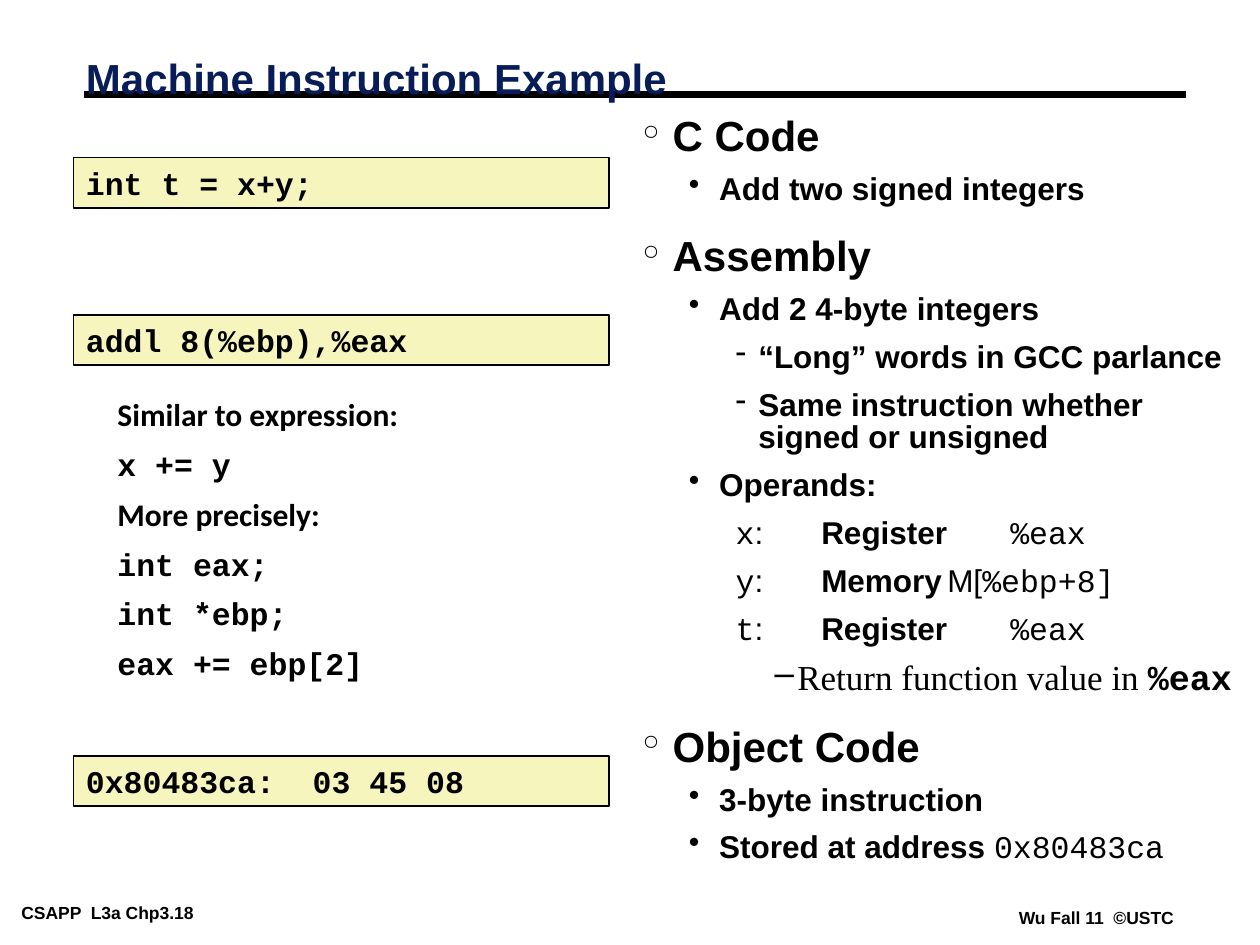
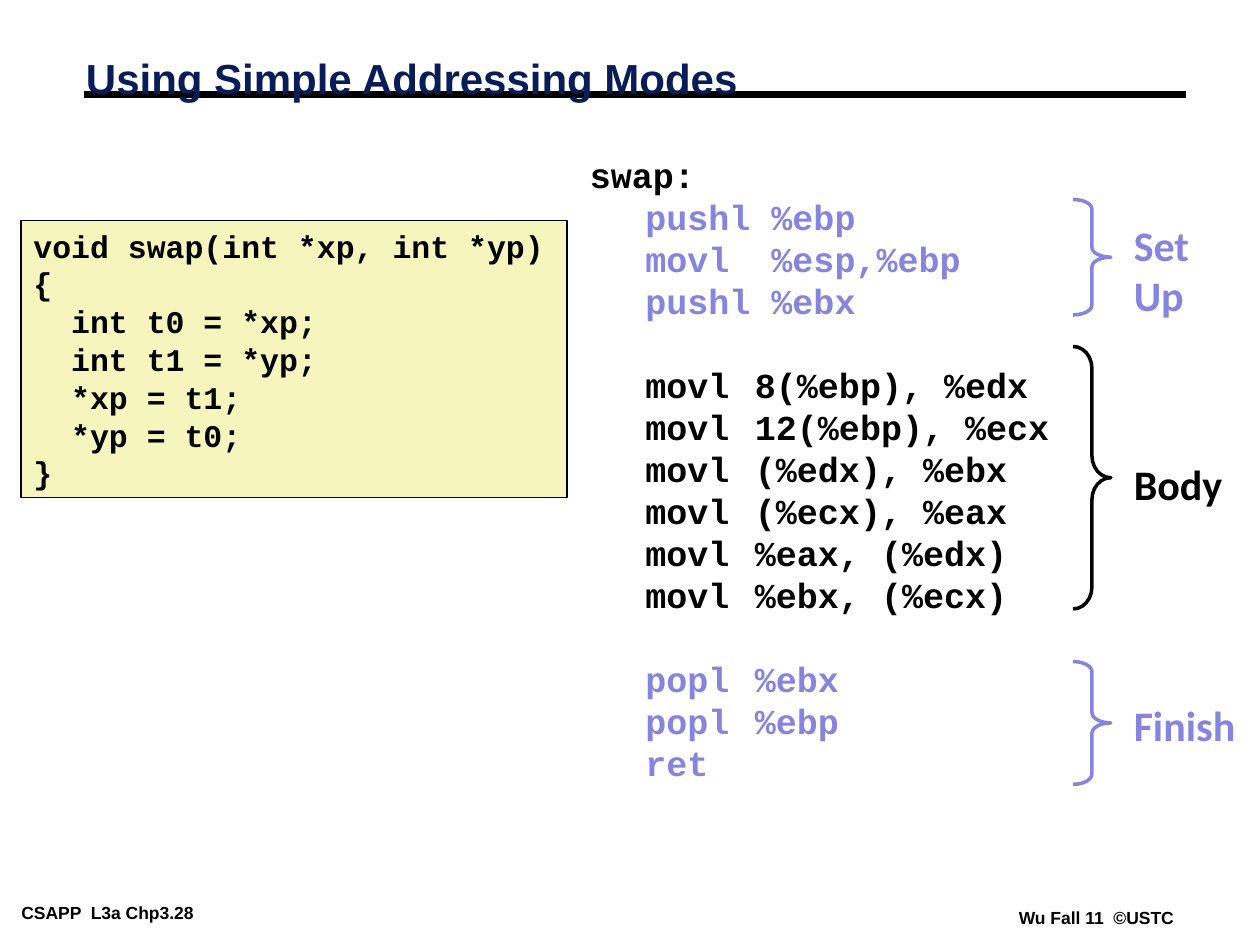
from pptx import Presentation
from pptx import util as u
from pptx.dml.color import RGBColor
from pptx.enum import shapes, text
from pptx.oxml.ns import qn
from lxml import etree

COLS, ROWS = 120, 90
CELL = u.Inches(10) / COLS
HUES = {"ink": "000000", "title": "081D58", "code": "F6F5BD", "stack": "8585E0"}
SANS, MONO, NOTE, SERIF = "Arial", "Courier New", "Calibri", "Times New Roman"
LEVELS = {
    "head": dict(mark="°", left=0.24, hang=0.24, lead=0.75, gap=19.5, size=24),
    "item": dict(mark="•", left=0.61, hang=0.24, lead=0.85, gap=9, size=18),
    "dash": dict(mark="-", left=0.92, hang=0.18, lead=0.85, gap=9, size=18),
    "plain": dict(mark=None, left=0.92, hang=0.18, lead=0.85, gap=9, size=18),
    "deep": dict(mark="–", left=1.23, hang=0.18, lead=1, gap=5, size=20),
}


def grid(*cells):
    """Turn grid cells into slide lengths."""
    return [u.Emu(round(c * CELL)) for c in cells]


def hue(name):
    """Look up a colour by name."""
    return RGBColor.from_string(HUES[name])


def style(run, font, size, bold=True, tone="ink"):
    """Set the font of one run."""
    run.font.name, run.font.size, run.font.bold = font, u.Pt(size), bold
    run.font.color.rgb = hue(tone)


def fill(frame, lines, font, size, tone="ink"):
    """Write lines into a frame in one style."""
    frame.text = "\n".join(lines)
    for para in frame.paragraphs:
        para.alignment = text.PP_ALIGN.LEFT
        for run in para.runs:
            style(run, font, size, True, tone)


def box(slide, area):
    """Add an empty wrapping text box and return its frame."""
    frame = slide.shapes.add_textbox(*grid(*area)).text_frame
    frame.word_wrap = True
    return frame


def label(slide, area, lines, font, size, tone="ink"):
    """Add a text box in one style and return its frame."""
    frame = box(slide, area)
    fill(frame, lines, font, size, tone)
    return frame


def code(slide, area, lines):
    """Add a framed code panel."""
    panel = slide.shapes.add_shape(shapes.MSO_SHAPE.RECTANGLE, *grid(*area))
    panel.shadow.inherit = False
    panel.fill.solid()
    panel.fill.fore_color.rgb = hue("code")
    panel.line.color.rgb, panel.line.width = hue("ink"), u.Pt(1)
    panel.text_frame.vertical_anchor = text.MSO_ANCHOR.TOP
    fill(panel.text_frame, lines, MONO, 18)


def brace(slide, top, high, tone):
    """Add a right brace whose curves are a twelfth of its height."""
    wide = 3.6
    curl = slide.shapes.add_shape(
        shapes.MSO_SHAPE.RIGHT_BRACE, *grid(102.2, top, wide, high))
    curl.shadow.inherit = False
    curl.adjustments[0] = high / 12 / wide
    curl.fill.background()
    curl.line.color.rgb, curl.line.width = hue(tone), u.Pt(2)


def tabs(para, stops):
    """Set left tab stops in inches."""
    row = etree.SubElement(para._p.get_or_add_pPr(), qn("a:tabLst"))
    for stop in stops:
        etree.SubElement(row, qn("a:tab"), pos=str(u.Inches(stop)), algn="l")


def point(para, level, runs, first):
    """Write one outline point from (text, font, bold) runs."""
    look = LEVELS[level]
    props = para._p.get_or_add_pPr()
    props.set("marL", str(u.Inches(look["left"])))
    props.set("indent", str(-u.Inches(look["hang"])))
    if look["mark"]:
        etree.SubElement(props, qn("a:buChar"), char=look["mark"])
    else:
        etree.SubElement(props, qn("a:buNone"))
    para.line_spacing = look["lead"]
    if not first:
        para.space_before = u.Pt(look["gap"])
    for words, font, bold in runs:
        run = para.add_run()
        run.text = words
        style(run, font, look["size"], bold)


def outline(slide, area, points):
    """Add a multi-level outline; a bare string is a bold sans point."""
    frame = box(slide, area)
    for i, (level, runs) in enumerate(points):
        para = frame.add_paragraph() if i else frame.paragraphs[0]
        if isinstance(runs, str):
            runs = [(runs, SANS, True)]
        point(para, level, runs, i == 0)


def operand(name, place, *value):
    """Make the tabbed outline row of one operand."""
    return "plain", [(name, MONO, False), (":\t", SANS, False),
                     (place + "\t", SANS, True), *value]


def base(deck, title, page):
    """Add a slide with its footers, rule and title."""
    slide = deck.slides.add_slide(deck.slide_layouts[6])
    feet = [((1.2, 85.5, 24, 2.6), f"CSAPP  L3a Chp3.{page}"),
            ((96.2, 86, 18, 2.6), "Wu Fall 11  ©USTC")]
    for area, words in feet:
        foot = label(slide, area, [words], SANS, 10)
        foot.margin_left = foot.margin_right = u.Inches(0.07)
        foot.margin_top = foot.margin_bottom = u.Inches(0.03)
    rule = slide.shapes.add_connector(
        shapes.MSO_CONNECTOR.STRAIGHT, *grid(8, 9, 113, 9))
    rule.line.color.rgb, rule.line.width = hue("ink"), u.Pt(4.5)
    etree.SubElement(rule._element.spPr, qn("a:effectLst"))
    head = label(slide, (7, 4, 100, 7.5), [title], SANS, 24, "title")
    head.vertical_anchor = text.MSO_ANCHOR.MIDDLE
    head.paragraphs[0].line_spacing = 0.87
    return slide


def example(deck):
    """Build the machine instruction slide."""
    slide = base(deck, "Machine Instruction Example", 18)
    outline(slide, (60, 11, 60, 76), [
        ("head", "C Code"),
        ("item", "Add two signed integers"),
        ("head", "Assembly"),
        ("item", "Add 2 4-byte integers"),
        ("dash", "“Long” words in GCC parlance"),
        ("dash", "Same instruction whether signed or unsigned"),
        ("item", "Operands:"),
        operand("x", "Register", ("%eax", MONO, False)),
        operand("y", "Memory", ("M[", SANS, False), ("%ebp+8]", MONO, False)),
        operand("t", "Register", ("%eax", MONO, False)),
        ("deep", [("Return function value in ", SERIF, False),
                  ("%eax", MONO, True)]),
        ("head", "Object Code"),
        ("item", "3-byte instruction"),
        ("item", [("Stored at address ", SANS, True),
                  ("0x80483ca", MONO, False)]),
    ])
    panels = [(15, "int t = x+y;"), (30, "addl 8(%ebp),%eax"),
              (72, "0x80483ca:  03 45 08")]
    for top, line in panels:
        code(slide, (7, top, 51, 4.8), [line])
    notes = label(slide, (10, 37, 45, 28.7), [
        "Similar to expression:", "x += y", "More precisely:",
        "int eax;", "int *ebp;", "eax += ebp[2]"], MONO, 18)
    for para in notes.paragraphs[1:]:
        para.line_spacing, para.space_before = 0.8, u.Pt(11.2)
    for i in (0, 2):
        notes.paragraphs[i].runs[0].font.name = NOTE


def modes(deck):
    """Build the addressing modes slide."""
    slide = base(deck, "Using Simple Addressing Modes", 28)
    code(slide, (2, 21, 52, 26.4), [
        "void swap(int *xp, int *yp)", "{", "  int t0 = *xp;",
        "  int t1 = *yp;", "  *xp = t1;", "  *yp = t0;", "}"])
    parts = [
        ("stack", ["pushl %ebp", "movl  %esp,%ebp", "pushl %ebx"]),
        ("ink", ["movl\t8(%ebp), %edx", "movl\t12(%ebp), %ecx",
                 "movl\t(%edx), %ebx", "movl\t(%ecx), %eax",
                 "movl\t%eax, (%edx)", "movl\t%ebx, (%ecx)"]),
        ("stack", ["popl\t%ebx", "popl\t%ebp", "ret"]),
    ]
    rows = [(tone, "\t" + line, i == 0)
            for tone, lines in parts for i, line in enumerate(lines)]
    swap = label(slide, (55, 14, 48, 61.2),
                 ["swap:"] + [line for _, line, _ in rows], MONO, 20)
    for n, (para, (tone, _, start)) in enumerate(zip(swap.paragraphs[1:], rows)):
        tabs(para, (0.44, 1.31))
        if start and n:
            para.space_before = u.Pt(24)
        for run in para.runs:
            run.font.color.rgb = hue(tone)
    marks = [(19, 11, 20.3, ["Set", "Up"], "stack"),
             (33, 25, 43.1, ["Body"], "ink"),
             (63, 11.7, 66, ["Finish"], "stack")]
    for top, high, row, words, tone in marks:
        brace(slide, top, high, tone)
        label(slide, (106.8, row, 13.2, 6 * len(words)), words, NOTE, 24, tone)


def main():
    """Build and save the deck."""
    deck = Presentation()
    deck.slide_width, deck.slide_height = grid(COLS, ROWS)
    example(deck)
    modes(deck)
    deck.save("out.pptx")


if __name__ == "__main__":
    main()
